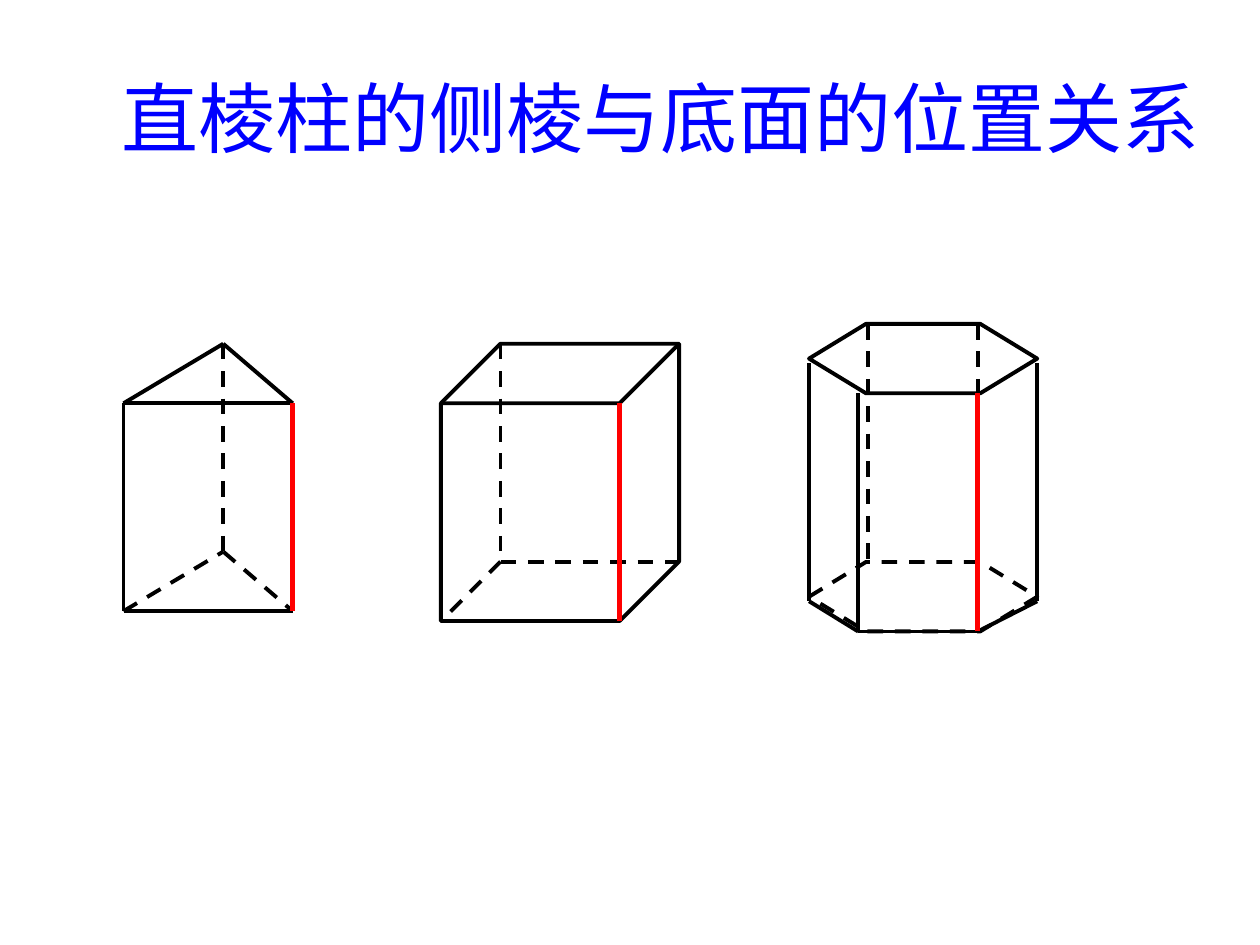
from dataclasses import dataclass

from lxml import etree
from pptx import Presentation
from pptx import util as u
from pptx.dml.color import RGBColor
from pptx.enum import dml, shapes, text
from pptx.oxml.ns import qn


@dataclass(frozen=True)
class Theme:
    title: RGBColor = RGBColor(0x00, 0x00, 0xFF)
    edge: RGBColor = RGBColor(0x00, 0x00, 0x00)
    lateral: RGBColor = RGBColor(0xFF, 0x00, 0x00)
    font: str = "Arial"
    title_size: float = 44
    edge_width: float = 2.25
    lateral_width: float = 3


THEME = Theme()


def write(tf, content, *, size, color, font=THEME.font, align=text.PP_ALIGN.CENTER):
    tf.word_wrap = True
    tf.auto_size = text.MSO_AUTO_SIZE.NONE
    tf.vertical_anchor = text.MSO_ANCHOR.MIDDLE
    p = tf.paragraphs[0]
    p.alignment = align
    r = p.add_run()
    r.text = content
    r.font.size = u.Pt(size)
    r.font.name = font
    r.font.color.rgb = color


def add_title(s, content):
    sp = s.shapes.title
    sp.left, sp.top, sp.width, sp.height = map(u.Cm, (1.27, 0.76, 24.13, 3.18))
    write(sp.text_frame, content, size=THEME.title_size, color=THEME.title)


def style_line(line, color=THEME.edge, width=THEME.edge_width, dashed=False):
    line.color.rgb = color
    line.width = u.Pt(width)
    if dashed:
        line.dash_style = dml.MSO_LINE.DASH


def add_edge(parent, start, end, **style):
    ends = map(u.Cm, (*start, *end))
    c = parent.add_connector(shapes.MSO_CONNECTOR.STRAIGHT, *ends)
    style_line(c.line, **style)
    etree.SubElement(c._element.spPr, qn("a:effectLst"))


def add_lateral_edge(parent, start, end):
    add_edge(parent, start, end, color=THEME.lateral, width=THEME.lateral_width)


def add_solid(parent, kind, box, adj, **style):
    sp = parent.add_shape(kind, *map(u.Cm, box))
    sp.adjustments[0] = adj
    sp.shadow.inherit = False
    sp.fill.background()
    style_line(sp.line, **style)


def add_triangular_prism(s):
    height = 4.19
    left, right, back = top = [(2.49, 8.13), (5.9, 8.13), (4.5, 6.93)]
    low_left, low_right, low_back = low = [(x, y + height) for x, y in top]
    g = s.shapes.add_group_shape().shapes
    for start, end in ((left, right), (left, back), (back, right)):
        add_edge(g, start, end)
    for start, end in zip(top, low):
        add_edge(g, start, end, dashed=start == back)
    add_edge(g, low_left, low_right)
    add_edge(g, low_left, low_back, dashed=True)
    add_edge(g, low_back, low_right, dashed=True)
    return right, low_right


def add_cuboid(s):
    left, top, width, height = box = (8.89, 6.93, 4.8, 5.59)
    ratio = 0.25
    depth = width * ratio
    right, bottom = left + width, top + height
    hidden = (left + depth, bottom - depth)
    g = s.shapes.add_group_shape().shapes
    add_solid(g, shapes.MSO_SHAPE.CUBE, box, ratio)
    add_edge(g, (left + depth, top), hidden, dashed=True)
    add_edge(g, hidden, (right, bottom - depth), dashed=True)
    add_edge(g, hidden, (left, bottom), dashed=True)
    return (right - depth, top + depth), (right - depth, bottom)


def add_hexagonal_prism(s):
    left, top, width, depth, height = 16.31, 6.53, 4.6, 1.4, 4.8
    right, front_left, front_right, back_left = left + width, 17.3, 19.71, 17.5
    side, front = 7.32, top + depth
    for y, dashed in ((top, False), (top + height, True)):
        add_solid(s.shapes, shapes.MSO_SHAPE.HEXAGON, (left, y, width, depth),
                  0.82, dashed=dashed)
    visible = [(left, side), (front_left, front), (front_right, front), (right, side)]
    hidden = [(back_left, top), (front_right, top)]
    for x, y in visible + hidden:
        add_edge(s.shapes, (x, y), (x, y + height), dashed=(x, y) in hidden)
    base = [(x, y + height) for x, y in visible]
    for start, end in zip(base, base[1:]):
        add_edge(s.shapes, start, end)
    return visible[2], base[2]


def main():
    prs = Presentation()
    prs.slide_width, prs.slide_height = u.Cm(25.4), u.Cm(19.05)
    s = prs.slides.add_slide(prs.slide_layouts[5])
    add_title(s, "直棱柱的侧棱与底面的位置关系")
    prisms = (add_triangular_prism, add_cuboid, add_hexagonal_prism)
    lateral_edges = [add_prism(s) for add_prism in prisms]
    for start, end in lateral_edges:
        add_lateral_edge(s.shapes, start, end)
    prs.save("out.pptx")


if __name__ == "__main__":
    main()
